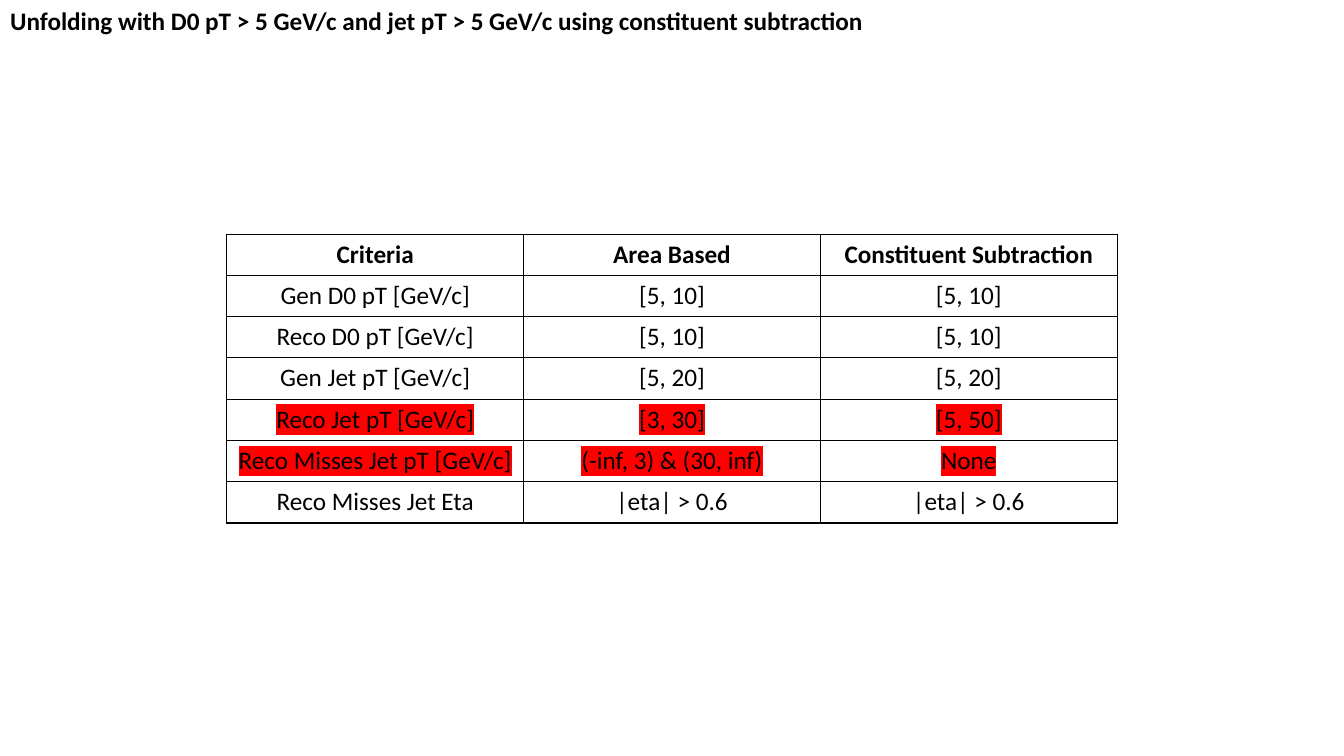
import pptx
import pptx.util
import pptx.dml.color
import pptx.enum.text
import pptx.oxml.ns
import lxml.etree

Inches = pptx.util.Inches
Align = pptx.enum.text.PP_ALIGN
qn = pptx.oxml.ns.qn

HUES = {"ink": "000000", "mark": "FF0000"}
TITLE = "Unfolding with D0 pT > 5 GeV/c and jet pT > 5 GeV/c using constituent subtraction"
ROWS = [
    ("Criteria", "Area Based", "Constituent Subtraction"),
    ("Gen D0 pT [GeV/c]", "[5, 10]", "[5, 10]"),
    ("Reco D0 pT [GeV/c]", "[5, 10]", "[5, 10]"),
    ("Gen Jet pT [GeV/c]", "[5, 20]", "[5, 20]"),
    ("Reco Jet pT [GeV/c]", "[3, 30]", "[5, 50]"),
    ("Reco Misses Jet pT [GeV/c]", "(-inf, 3) & (30, inf)", "None"),
    ("Reco Misses Jet Eta", "|eta| > 0.6", "|eta| > 0.6"),
]
MARKED = (4, 5)


class Page:
    """Holds the text style and the slide being built."""

    def __init__(self, deck):
        self.slide = deck.slides.add_slide(deck.slide_layouts[5])
        self.style = {"name": "Calibri", "size": pptx.util.Pt(18)}

    def label(self, frame, text, align, bold=False, mark=False):
        para = frame.paragraphs[0]
        para.alignment = align
        run = para.add_run()
        run.text = text
        for key, value in {**self.style, "bold": bold}.items():
            setattr(run.font, key, value)
        run.font.color.rgb = pptx.dml.color.RGBColor.from_string(HUES["ink"])
        if mark:
            light = lxml.etree.Element(qn("a:highlight"))
            lxml.etree.SubElement(light, qn("a:srgbClr"), val=HUES["mark"])
            run.font._element.find(qn("a:solidFill")).addnext(light)

    def title(self, text, left, top, width, height):
        shape = self.slide.shapes.title
        place = {"left": left, "top": top, "width": width, "height": height}
        for key, value in place.items():
            setattr(shape, key, Inches(value))
        frame = shape.text_frame
        form = {
            "word_wrap": False,
            "auto_size": pptx.enum.text.MSO_AUTO_SIZE.SHAPE_TO_FIT_TEXT,
            "vertical_anchor": pptx.enum.text.MSO_ANCHOR.TOP,
        }
        for key, value in form.items():
            setattr(frame, key, value)
        self.label(frame, text, Align.LEFT, bold=True)

    def border(self, cell):
        props = cell._tc.get_or_add_tcPr()
        for spot, side in enumerate("LRTB"):
            line = lxml.etree.Element(qn("a:ln" + side), w=str(pptx.util.Pt(1)))
            fill = lxml.etree.SubElement(line, qn("a:solidFill"))
            lxml.etree.SubElement(fill, qn("a:srgbClr"), val=HUES["ink"])
            props.insert(spot, line)

    def table(self, rows, marked, left, top, width, heights):
        size = [Inches(n) for n in (left, top, width, sum(heights))]
        grid = self.slide.shapes.add_table(len(rows), len(rows[0]), *size).table
        grid.first_row = grid.horz_banding = False
        for r, texts in enumerate(rows):
            grid.rows[r].height = Inches(heights[r])
            for c, text in enumerate(texts):
                cell = grid.cell(r, c)
                cell.fill.background()
                self.border(cell)
                self.label(cell.text_frame, text, Align.CENTER, r == 0, r in marked)


def main():
    deck = pptx.Presentation()
    deck.slide_width, deck.slide_height = Inches(13.33), Inches(7.5)
    page = Page(deck)
    page.table(ROWS, MARKED, 2.25, 2.33, 8.83, [0.33] + [0.41] * 6)
    page.title(TITLE, 0, 0, 8.74, 0.4)
    deck.save("out.pptx")


if __name__ == "__main__":
    main()
